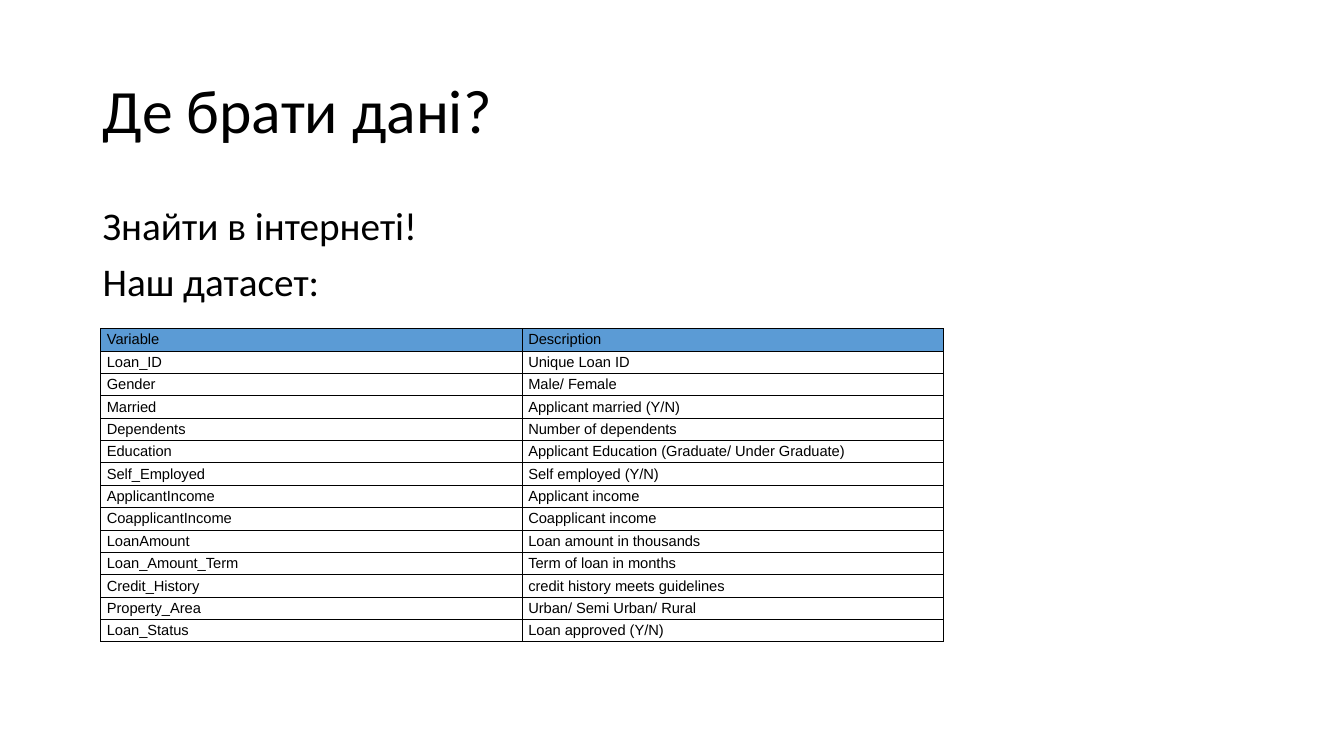
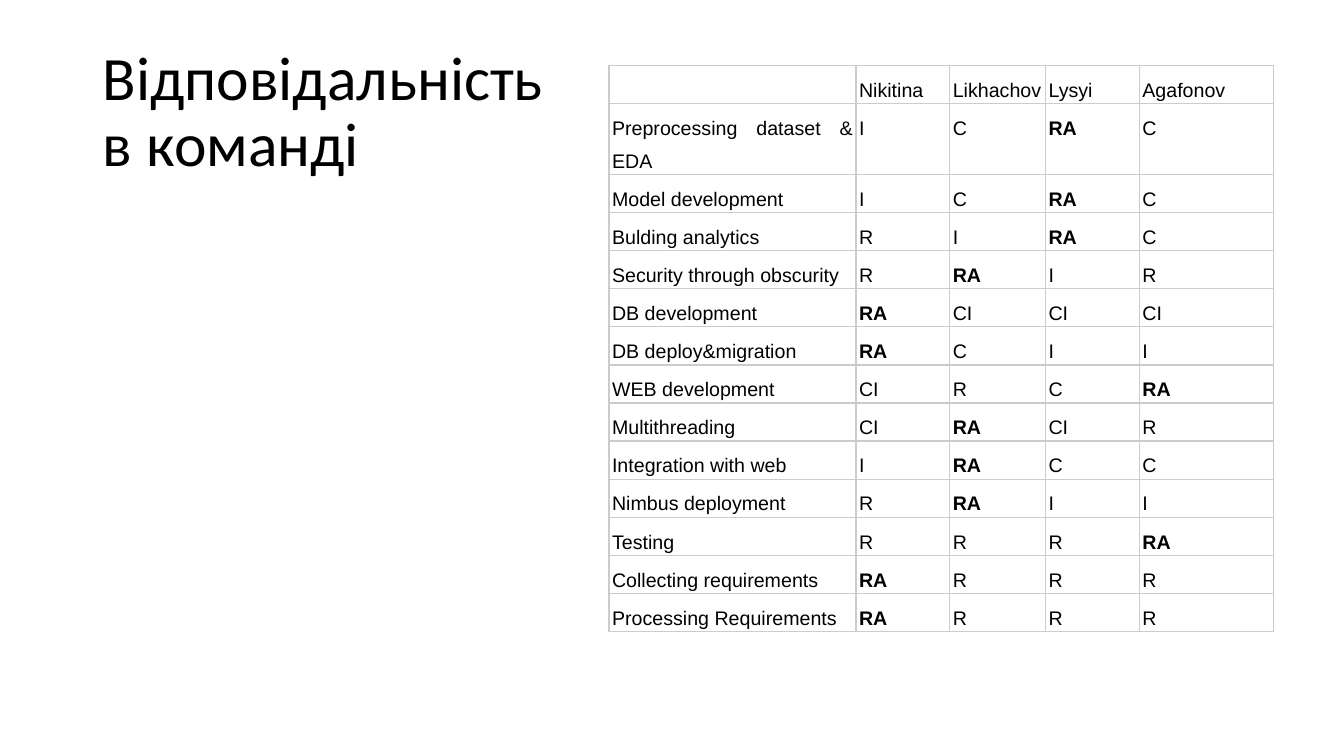
from dataclasses import dataclass

from pptx import Presentation
from pptx import util as u
from pptx.dml.color import RGBColor
from pptx.enum import text
from pptx.oxml import parse_xml
from pptx.oxml.ns import nsdecls


@dataclass(frozen=True)
class Theme:
    ink: str = "000000"
    paper: str = "FFFFFF"
    header: str = "5B9BD5"
    grid: str = "CCCCCC"
    heading_font: str = "Calibri"
    table_font: str = "Arial"
    title_size: float = 44
    body_size: float = 28
    data_size: float = 10.5
    duty_size: float = 14


THEME = Theme()
TITLE_ONLY = 5

VARIABLES = [
    ("Variable", "Description"),
    ("Loan_ID", "Unique Loan ID"),
    ("Gender", "Male/ Female"),
    ("Married", "Applicant married (Y/N)"),
    ("Dependents", "Number of dependents"),
    ("Education", "Applicant Education (Graduate/ Under Graduate)"),
    ("Self_Employed", "Self employed (Y/N)"),
    ("ApplicantIncome", "Applicant income"),
    ("CoapplicantIncome", "Coapplicant income"),
    ("LoanAmount", "Loan amount in thousands"),
    ("Loan_Amount_Term", "Term of loan in months"),
    ("Credit_History", "credit history meets guidelines"),
    ("Property_Area", "Urban/ Semi Urban/ Rural"),
    ("Loan_Status", "Loan approved (Y/N)"),
]

DUTIES = [
    ("", "Nikitina", "Likhachov", "Lysyi", "Agafonov"),
    ("Preprocessing dataset & EDA", "I", "C", "RA", "С"),
    ("Model development", "I", "C", "RA", "С"),
    ("Bulding analytics", "R", "I", "RA", "C"),
    ("Security through obscurity", "R", "RA", "I", "R"),
    ("DB development", "RA", "CI", "CI", "CI"),
    ("DB deploy&migration", "RA", "C", "I", "I"),
    ("WEB development", "CI", "R", "C", "RA"),
    ("Multithreading", "CI", "RA", "CI", "R"),
    ("Integration with web", "I", "RA", "C", "C"),
    ("Nimbus deployment", "R", "RA", "I", "I"),
    ("Testing", "R", "R", "R", "RA"),
    ("Collecting requirements", "RA", "R", "R", "R"),
    ("Processing Requirements", "RA", "R", "R", "R"),
]


def apply_format(target, values):
    for name, value in values.items():
        setattr(target, name, value)


def place(box, left, top, width, height):
    names = ("left", "top", "width", "height")
    sizes = (left, top, width, height)
    apply_format(box, {n: u.Inches(s) for n, s in zip(names, sizes)})


def write(para, words, font, size, bold=False):
    span = para.add_run()
    span.text = words
    apply_format(span.font, {"name": font, "size": u.Pt(size), "bold": bold})
    span.font.color.rgb = RGBColor.from_string(THEME.ink)


def write_lines(box, lines, size, anchor, gap=0):
    frame = box.text_frame
    apply_format(frame, {
        "word_wrap": True,
        "auto_size": text.MSO_AUTO_SIZE.NONE,
        "vertical_anchor": anchor,
    })
    for index, words in enumerate(lines):
        para = frame.add_paragraph() if index else frame.paragraphs[0]
        apply_format(para, {
            "alignment": text.PP_ALIGN.LEFT,
            "line_spacing": 0.9,
            "space_before": u.Pt(gap if index else 0),
        })
        write(para, words, THEME.heading_font, size)


def add_page(deck, title_lines):
    page = deck.slides.add_slide(deck.slide_layouts[TITLE_ONLY])
    title = page.shapes.title
    place(title, 0.92, 0.4, 11.5, 1.45)
    write_lines(title, title_lines, THEME.title_size, text.MSO_ANCHOR.MIDDLE)
    return page


def add_body(page, lines):
    box = page.shapes.add_textbox(0, 0, 0, 0)
    place(box, 0.92, 2, 11.5, 4.76)
    write_lines(box, lines, THEME.body_size, text.MSO_ANCHOR.TOP, gap=10)


def outline(cell, color, points):
    for side in "LRTB":
        cell._tc.get_or_add_tcPr().append(parse_xml(
            f'<a:ln{side} {nsdecls("a")} w="{u.Pt(points)}"><a:solidFill>'
            f'<a:srgbClr val="{color}"/></a:solidFill></a:ln{side}>'))


def add_grid(page, rows, left, top, widths, row_height, size, border,
             cell_format, para_format, header_fill=THEME.paper, strong=()):
    grid = page.shapes.add_table(
        len(rows), len(widths), u.Inches(left), u.Inches(top),
        u.Inches(sum(widths)), u.Inches(row_height * len(rows))).table
    apply_format(grid, {"first_row": False, "horz_banding": False})
    for column, width in zip(grid.columns, widths):
        column.width = u.Inches(width)
    for index, (row, entries) in enumerate(zip(grid.rows, rows)):
        row.height = u.Inches(row_height)
        for cell, words in zip(row.cells, entries):
            apply_format(cell, cell_format)
            outline(cell, *border)
            cell.fill.solid()
            color = THEME.paper if index else header_fill
            cell.fill.fore_color.rgb = RGBColor.from_string(color)
            para = cell.text_frame.paragraphs[0]
            apply_format(para, para_format)
            if words:
                write(para, words, THEME.table_font, size, words in strong)


def margins(side, top, bottom):
    return {
        "margin_left": u.Inches(side),
        "margin_right": u.Inches(side),
        "margin_top": u.Inches(top),
        "margin_bottom": u.Inches(bottom),
    }


def add_dataset_page(deck):
    page = add_page(deck, ["Де брати дані?"])
    add_body(page, ["Знайти в інтернеті!", "Наш датасет:"])
    add_grid(
        page, VARIABLES, 1, 3.26, [4.18] * 2, 0.21, THEME.data_size,
        border=(THEME.ink, 0.75),
        cell_format={**margins(0.06, 0.03, 0.03),
                     "vertical_anchor": text.MSO_ANCHOR.MIDDLE},
        para_format={"alignment": text.PP_ALIGN.LEFT},
        header_fill=THEME.header)


def add_duties_page(deck):
    page = add_page(deck, ["Відповідальність", "в команді"])
    add_grid(
        page, DUTIES, 6.04, 0.65, [2.45, 0.93, 0.95, 0.93, 1.33], 0.34,
        THEME.duty_size,
        border=(THEME.grid, 1),
        cell_format={**margins(0.03, 0.03, 0.02),
                     "vertical_anchor": text.MSO_ANCHOR.TOP},
        para_format={"alignment": text.PP_ALIGN.JUSTIFY, "line_spacing": 1.5},
        strong=("RA",))


def main():
    deck = Presentation()
    apply_format(deck, {"slide_width": u.Inches(13.33),
                        "slide_height": u.Inches(7.5)})
    add_dataset_page(deck)
    add_duties_page(deck)
    deck.save("out.pptx")


main()
